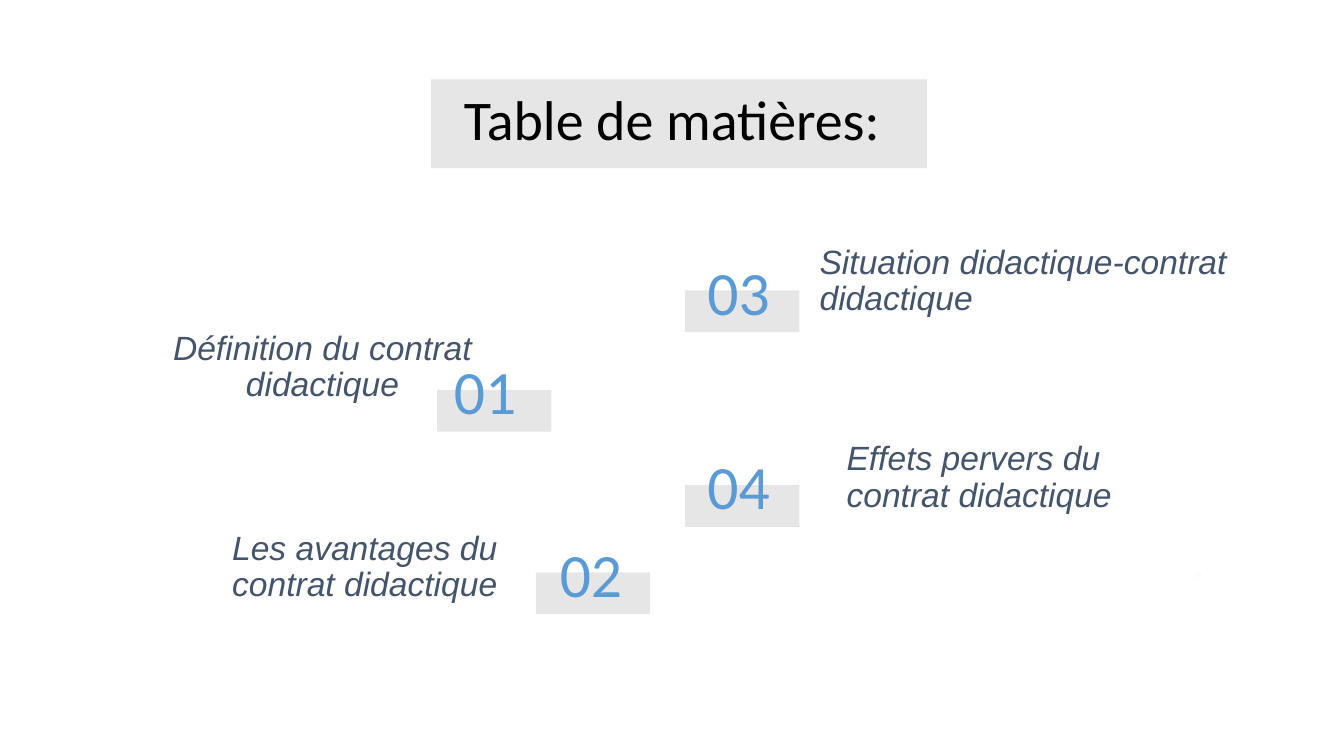
from dataclasses import dataclass

from pptx import Presentation
from pptx.dml.color import RGBColor
from pptx.enum.shapes import MSO_SHAPE
from pptx.enum.text import MSO_ANCHOR, PP_ALIGN
from pptx.util import Cm, Pt

RECT, OVAL = MSO_SHAPE.RECTANGLE, MSO_SHAPE.OVAL
TOP, MID = MSO_ANCHOR.TOP, MSO_ANCHOR.MIDDLE
LEFT, CENTER, RIGHT = PP_ALIGN.LEFT, PP_ALIGN.CENTER, PP_ALIGN.RIGHT


@dataclass(frozen=True)
class Theme:
    """Colours, fonts and type sizes of the deck."""
    band: str = "E7E6E6"
    dot: str = "FAFAFA"
    ink: str = "000000"
    slate: str = "44546A"
    blue: str = "5B9BD5"
    head: str = "Calibri"
    body: str = "Arial"
    title: int = 30
    label: int = 18
    number: int = 33


THEME = Theme()


def add_block(slide, kind, box, color):
    """Draw a plain filled shape."""
    block = slide.shapes.add_shape(kind, *map(Cm, box))
    block.shadow.inherit = False
    block.fill.solid()
    block.fill.fore_color.rgb = RGBColor.from_string(color)
    block.line.fill.background()


def add_text(slide, box, text, font, size, color, align, anchor=TOP, italic=False):
    """Place one wrapped paragraph."""
    frame = slide.shapes.add_textbox(*map(Cm, box)).text_frame
    frame.word_wrap = True
    frame.vertical_anchor = anchor
    frame.margin_left = frame.margin_right = Cm(0.25)
    frame.margin_top = frame.margin_bottom = Cm(0.25)
    para = frame.paragraphs[0]
    para.text = text
    para.alignment = align
    para.line_spacing = 0.9
    para.font.name = font
    para.font.size = Pt(size)
    para.font.italic = italic
    para.font.color.rgb = RGBColor.from_string(color)


def add_title(slide, box, text):
    """Place the heading over its band."""
    x, y, w, h = box
    add_block(slide, RECT, box, THEME.band)
    add_text(slide, (x - 6.17, y, 21.44, h - 0.36), text,
             THEME.head, THEME.title, THEME.ink, CENTER)


def add_entry(slide, box, number, shift, side, label, area, align):
    """Place a numbered entry relative to its band."""
    x, y, w, h = box
    dx, dy, wide, high = area
    add_block(slide, RECT, box, THEME.band)
    add_text(slide, (x + dx, y + dy, wide, high), label,
             THEME.body, THEME.label, THEME.slate, align, italic=True)
    add_text(slide, (x + shift, y - 0.47, w + 0.43, h + 0.33), number,
             THEME.head, THEME.number, THEME.blue, side, MID)


def build_contents(slide):
    """Build the table of contents."""
    add_title(slide, (8.15, 1.5, 9.37, 1.68), "Table de matières:")
    entries = [
        (8.26, 7.37, -0.84, RIGHT, "Définition du contrat didactique",
         (-5.72, -1.35, 7.11, 2.59), CENTER),
        (10.13, 10.82, -0.71, RIGHT, "Les avantages du contrat didactique",
         (-6.75, -1.02, 6.27, 2.64), RIGHT),
        (12.95, 5.49, 0.17, LEFT, "Situation didactique-contrat didactique",
         (2.29, -1.1, 9.53, 2.11), LEFT),
        (12.95, 9.17, 0.17, LEFT, "Effets pervers du contrat didactique",
         (2.8, -1.07, 6.27, 2.41), LEFT),
    ]
    for rank, (x, y, shift, side, label, area, align) in enumerate(entries, 1):
        add_entry(slide, (x, y, 2.16, 0.79), f"{rank:02}",
                  shift, side, label, area, align)
    add_block(slide, OVAL, (22.61, 10.82, 0.09, 0.09), THEME.dot)


def main():
    """Create and save the deck."""
    deck = Presentation()
    deck.slide_width, deck.slide_height = Cm(25.4), Cm(14.29)
    build_contents(deck.slides.add_slide(deck.slide_layouts[6]))
    deck.save("out.pptx")


main()
